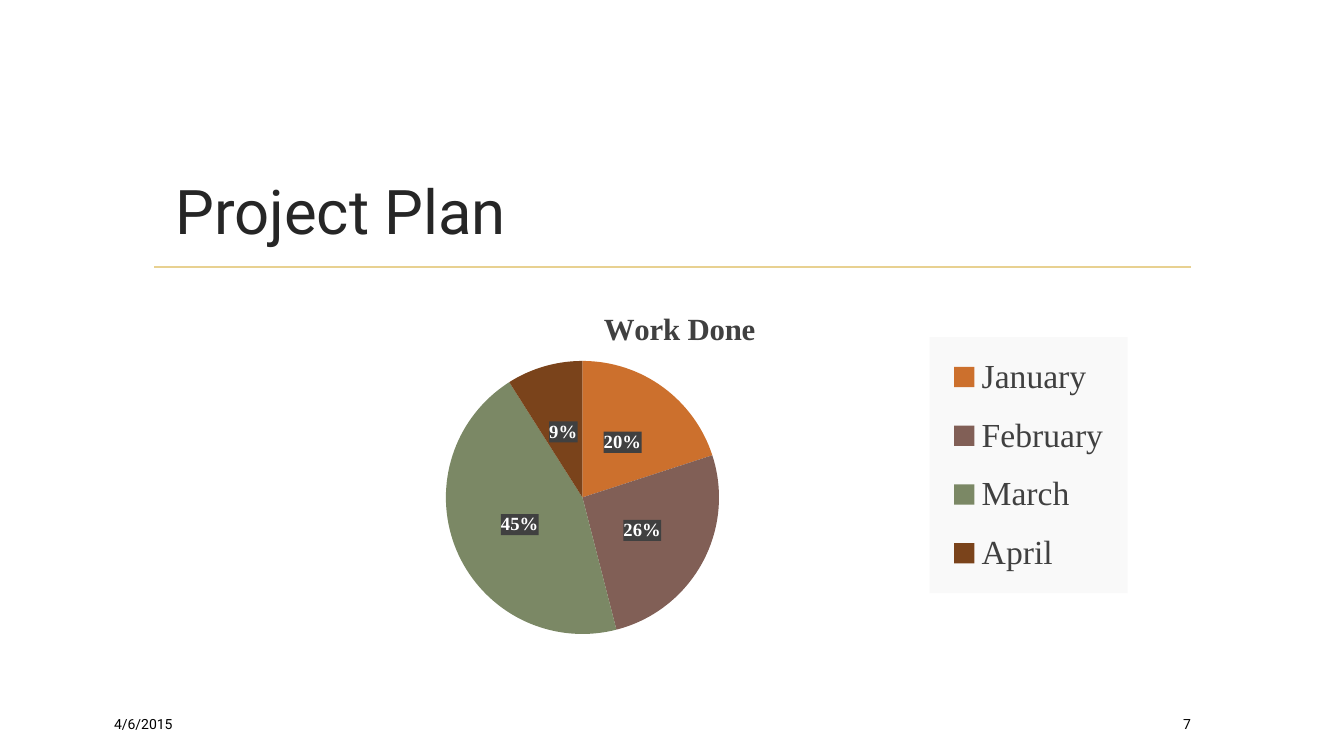
from lxml.etree import SubElement
from pptx import Presentation
from pptx.chart.data import CategoryChartData
from pptx.dml.color import RGBColor
from pptx.enum.chart import XL_CHART_TYPE, XL_LABEL_POSITION, XL_LEGEND_POSITION
from pptx.enum.shapes import MSO_CONNECTOR
from pptx.enum.text import MSO_ANCHOR, PP_ALIGN
from pptx.oxml import parse_xml
from pptx.oxml.ns import nsdecls, qn
from pptx.util import Inches, Pt

WORK_DONE = {
    "January": (20, "CC702D"),
    "February": (26, "815F56"),
    "March": (45, "7B8865"),
    "April": (9, "7A431B"),
}


def color(value):
    return RGBColor.from_string(value)


def set_font(font, size, fill, **formats):
    formats["size"] = Pt(size)
    for name, value in formats.items():
        setattr(font, name, value)
    font.color.rgb = color(fill)


def chart_fill(fill, opacity=100):
    """Return the shape properties of a filled chart part."""
    return parse_xml(
        f'<c:spPr {nsdecls("c", "a")}><a:solidFill><a:srgbClr val="{fill}">'
        f'<a:alpha val="{opacity * 1000}"/></a:srgbClr></a:solidFill></c:spPr>'
    )


def place(element, before, inner=False, **shares):
    """Lay out a chart part by shares of the chart's size."""
    for old in element.findall(qn("c:layout")):
        element.remove(old)
    layout = parse_xml(f'<c:layout {nsdecls("c")}><c:manualLayout/></c:layout>')
    values = {"layoutTarget": "inner"} if inner else {}
    values.update(xMode="edge", yMode="edge", **shares)
    for name, value in values.items():
        SubElement(layout[0], qn(f"c:{name}")).set("val", str(value))
    element.find(qn(before)).addprevious(layout)


class SlideBuilder:
    """Positions are percentages of the slide's width and height."""

    text_font = "Roboto"
    chart_font = "Times New Roman"
    gray = "404040"

    def __init__(self, presentation):
        self.width = presentation.slide_width
        self.height = presentation.slide_height
        self.slide = presentation.slides.add_slide(presentation.slide_layouts[6])

    def across(self, share):
        return round(self.width * share / 100)

    def down(self, share):
        return round(self.height * share / 100)

    def box(self, left, top, width, height):
        return self.across(left), self.down(top), self.across(width), self.down(height)

    def rule(self, left, right, top, fill, weight):
        connector = self.slide.shapes.add_connector(
            MSO_CONNECTOR.STRAIGHT,
            self.across(left), self.down(top), self.across(right), self.down(top),
        )
        connector.line.color.rgb = color(fill)
        connector.line.width = Pt(weight)
        SubElement(connector._element.spPr, qn("a:effectLst"))

    def text(self, content, area, size, fill="000000", align=PP_ALIGN.RIGHT):
        frame = self.slide.shapes.add_textbox(*self.box(*area)).text_frame
        frame.word_wrap = True
        frame.vertical_anchor = MSO_ANCHOR.MIDDLE
        paragraph = frame.paragraphs[0]
        paragraph.alignment = align
        run = paragraph.add_run()
        run.text = content
        set_font(run.font, size, fill, name=self.text_font)

    def pie(self, title, months, area):
        data = CategoryChartData()
        data.categories = list(months)
        data.add_series(title, [value for value, _ in months.values()])
        chart = self.slide.shapes.add_chart(
            XL_CHART_TYPE.PIE, *self.box(*area), data
        ).chart
        set_font(chart.font, 10, "000000", name=self.chart_font)
        self.pie_title(chart, title)
        self.pie_legend(chart)

        plot = chart.plots[0]
        plot.vary_by_categories = True
        for index, (_, fill) in enumerate(months.values()):
            point = plot.series[0].points[index].format
            point.fill.solid()
            point.fill.fore_color.rgb = color(fill)
            point.line.fill.background()
        self.pie_labels(plot.series[0].data_labels)
        place(chart._chartSpace.chart.plotArea, "c:pieChart", inner=True,
              x=0.286, y=0.215, w=0.258, h=0.747)

    def pie_title(self, chart, title):
        chart.has_title = True
        chart.chart_title.include_in_layout = False
        run = chart.chart_title.text_frame.paragraphs[0].add_run()
        run.text = title
        set_font(run.font, 22, self.gray, name=self.chart_font, bold=True)
        place(chart.chart_title._element, "c:overlay", x=0.43, y=0.06)

    def pie_legend(self, chart):
        chart.has_legend = True
        legend = chart.legend
        legend.position = XL_LEGEND_POSITION.RIGHT
        legend.include_in_layout = False
        set_font(legend.font, 24, self.gray, name=self.chart_font)
        place(legend._element, "c:overlay", x=0.743, y=0.15, w=0.187, h=0.7)
        legend._element.find(qn("c:txPr")).addprevious(chart_fill("F9F9F9"))

    def pie_labels(self, labels):
        formats = {
            "show_percentage": True,
            "show_value": False,
            "number_format": "0%",
            "number_format_is_linked": False,
            "position": XL_LABEL_POSITION.CENTER,
        }
        for name, value in formats.items():
            setattr(labels, name, value)
        set_font(labels.font, 13.3, "FFFFFF", name=self.chart_font, bold=True)
        labels._element.find(qn("c:txPr")).addprevious(chart_fill(self.gray, 90))


def main():
    presentation = Presentation()
    presentation.slide_width = Inches(13.33)
    presentation.slide_height = Inches(7.5)
    builder = SlideBuilder(presentation)
    builder.rule(11.48, 88.6, 35.33, "E8D191", 1.25)
    builder.text("Project Plan", (12.3, 22.13, 72.32, 11.2), 44, "262626", PP_ALIGN.LEFT)
    builder.pie("Work Done", WORK_DONE, (10.65, 37.33, 78.77, 48.4))
    builder.text("4/6/2015", (0.45, 93.73, 13.13, 4.13), 10)
    builder.text("7", (84.92, 93.73, 4.43, 4.13), 10)
    presentation.save("out.pptx")


if __name__ == "__main__":
    main()
